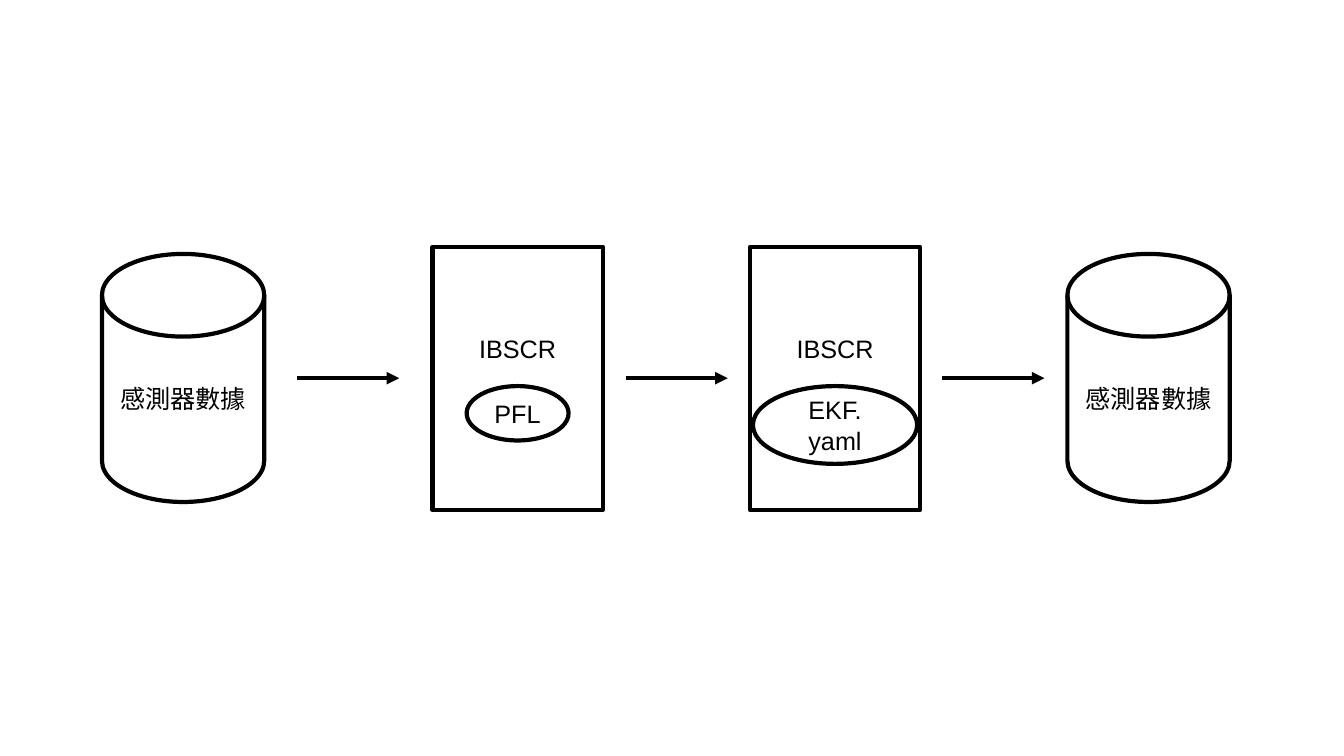
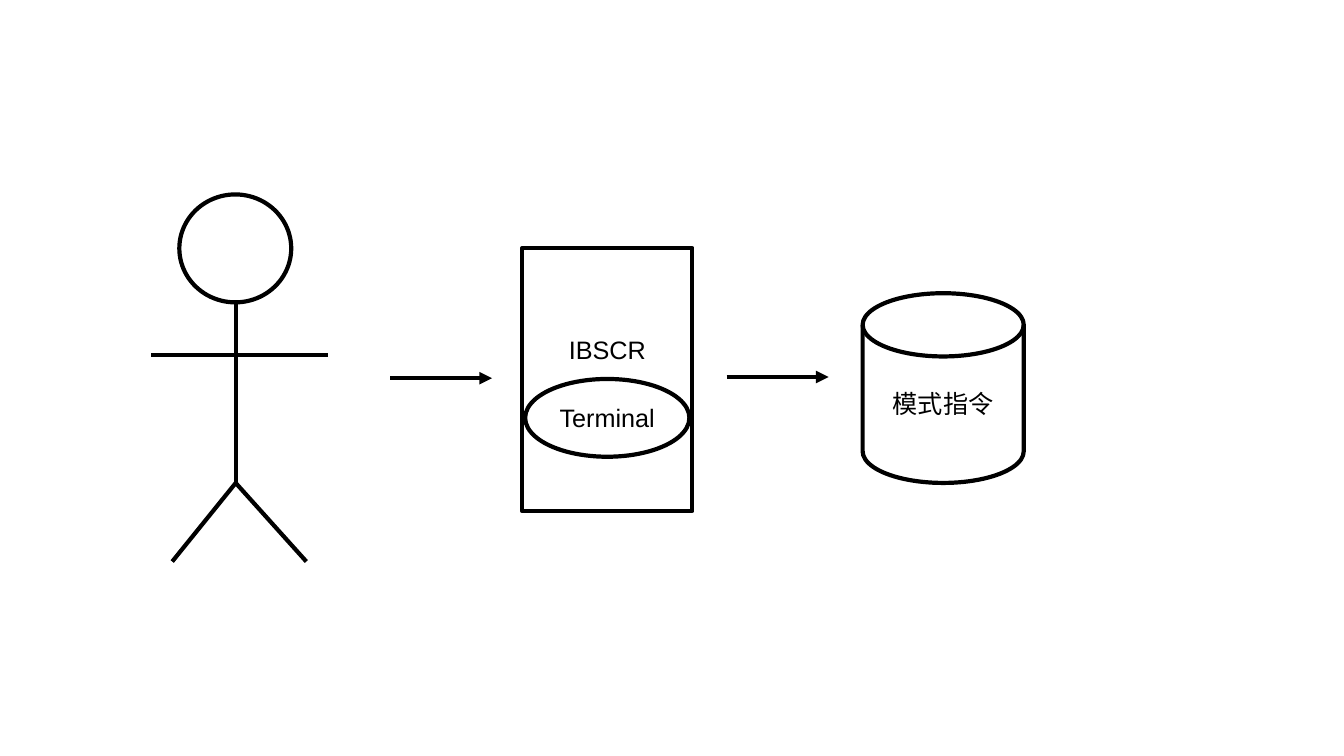
from dataclasses import dataclass

from lxml.etree import SubElement
from pptx import Presentation
from pptx.dml.color import RGBColor
from pptx.enum.shapes import MSO_CONNECTOR, MSO_SHAPE
from pptx.enum.text import MSO_ANCHOR, PP_ALIGN
from pptx.oxml.ns import qn
from pptx.util import Cm, Pt


@dataclass(frozen=True)
class Theme:
    ink: RGBColor = RGBColor(0, 0, 0)
    font: str = "Arial"
    size: int = 18
    stroke: int = 3


THEME = Theme()
BOX_W, BOX_H = 4.29, 6.63
ARROW_W = 2.57
OVAL = (4.14, 1.96)


def write(shape, text, size=THEME.size, color=THEME.ink, align=PP_ALIGN.CENTER,
          lift=0):
    """Fill a shape with text; lift is extra room in cm kept free below it."""
    frame = shape.text_frame
    frame.word_wrap = True
    frame.vertical_anchor = MSO_ANCHOR.MIDDLE
    frame.margin_left = frame.margin_right = frame.margin_top = 0
    frame.margin_bottom = Cm(lift)
    frame.text = text
    for para in frame.paragraphs:
        para.alignment = align
        for run in para.runs:
            run.font.name = THEME.font
            run.font.size = Pt(size)
            run.font.color.rgb = color


def ink(line):
    line.color.rgb = THEME.ink
    line.width = Pt(THEME.stroke)


def outline(shapes, kind, x, y, w, h):
    shape = shapes.add_shape(kind, Cm(x), Cm(y), Cm(w), Cm(h))
    shape.shadow.inherit = False
    shape.fill.background()
    ink(shape.line)
    return shape


def stroke(shapes, start, end):
    line = shapes.add_connector(MSO_CONNECTOR.STRAIGHT,
                                *map(Cm, start), *map(Cm, end))
    ink(line.line)
    SubElement(line._element.spPr, qn("a:effectLst"))
    return line


def arrow(shapes, x, y=9.53):
    line = stroke(shapes, (x, y), (x + ARROW_W, y))
    SubElement(line.line._get_or_add_ln(), qn("a:tailEnd"), type="triangle")


def store(shapes, text, x, y=6.4, w=4.09, h=6.25):
    """Draw a data store as a labelled cylinder."""
    write(outline(shapes, MSO_SHAPE.FLOWCHART_MAGNETIC_DISK, x, y, w, h), text)


def node(shapes, label, x, y=6.22, oval_y=9.73, oval=OVAL):
    """Draw a system box with a labelled oval centred across it."""
    box = outline(shapes, MSO_SHAPE.RECTANGLE, x, y, BOX_W, BOX_H)
    write(box, "IBSCR", lift=1.5)
    w, h = oval
    left = x + (BOX_W - w) / 2
    write(outline(shapes, MSO_SHAPE.OVAL, left, oval_y, w, h), label)


def person(shapes):
    parts = shapes.add_group_shape().shapes
    neck, hip = (5.94, 7.62), (5.94, 12.17)
    outline(parts, MSO_SHAPE.OVAL, 4.52, 4.9, 2.82, 2.72)
    for start, end in (
        (neck, hip),
        (hip, (4.34, 14.15)),
        (hip, (7.72, 14.15)),
        ((3.81, 8.94), (8.26, 8.94)),
    ):
        stroke(parts, start, end)


def data_flow(shapes):
    for x in (2.57, 26.9):
        store(shapes, "感測器數據", x)
    for x in (7.49, 15.77, 23.75):
        arrow(shapes, x)
    node(shapes, "PFL", 10.9, oval=(2.57, 1.37))
    node(shapes, "EKF.\nyaml", 18.9)


def user_flow(shapes):
    person(shapes)
    arrow(shapes, 9.83)
    node(shapes, "Terminal", 13.16, y=6.25, oval_y=9.55)
    arrow(shapes, 18.31, y=9.5)
    store(shapes, "模式指令", 21.74, y=7.39, w=4.06, h=4.78)


def main():
    deck = Presentation()
    deck.slide_width, deck.slide_height = Cm(33.87), Cm(19.05)
    for draw in (data_flow, user_flow):
        draw(deck.slides.add_slide(deck.slide_layouts[6]).shapes)
    deck.save("out.pptx")


if __name__ == "__main__":
    main()
